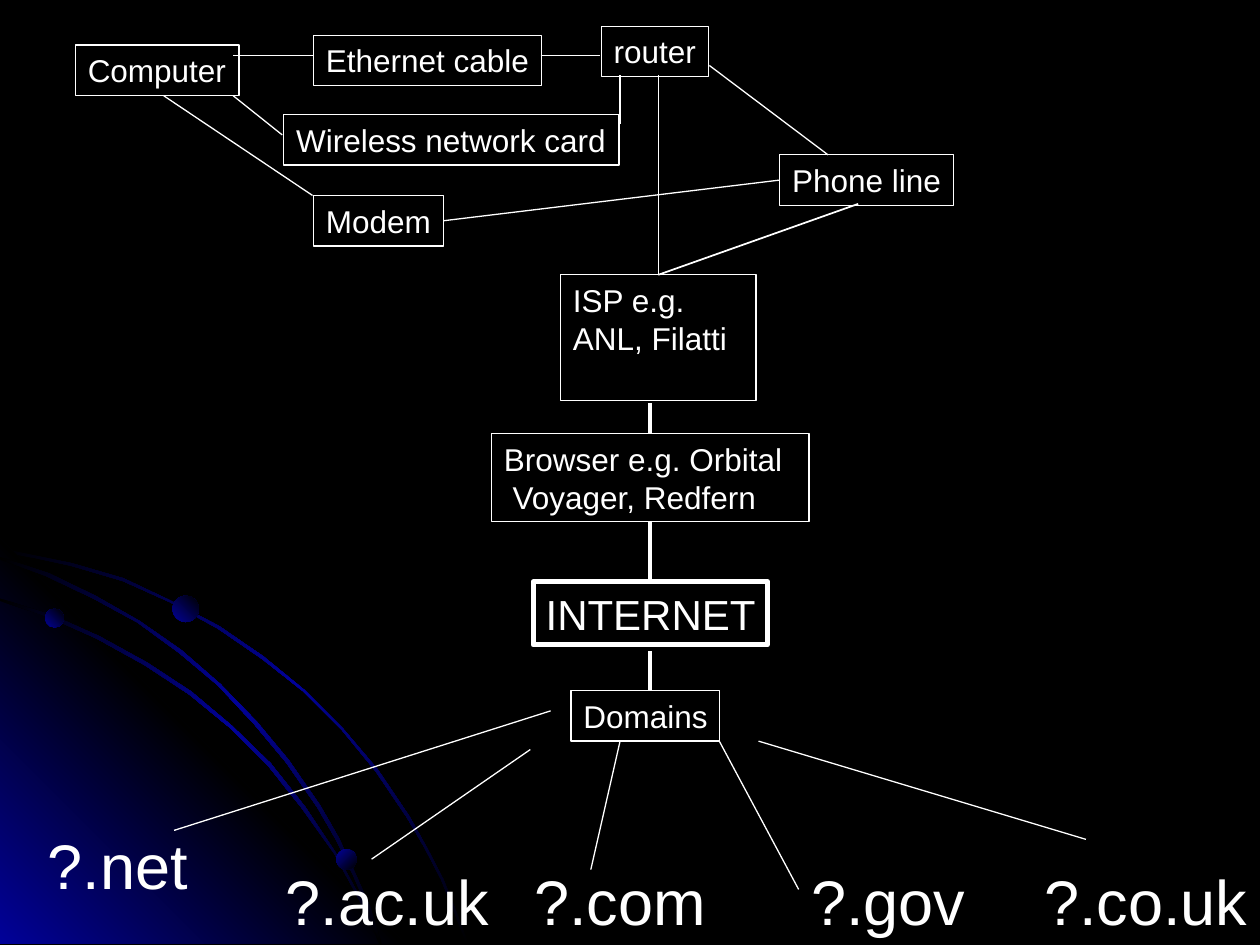
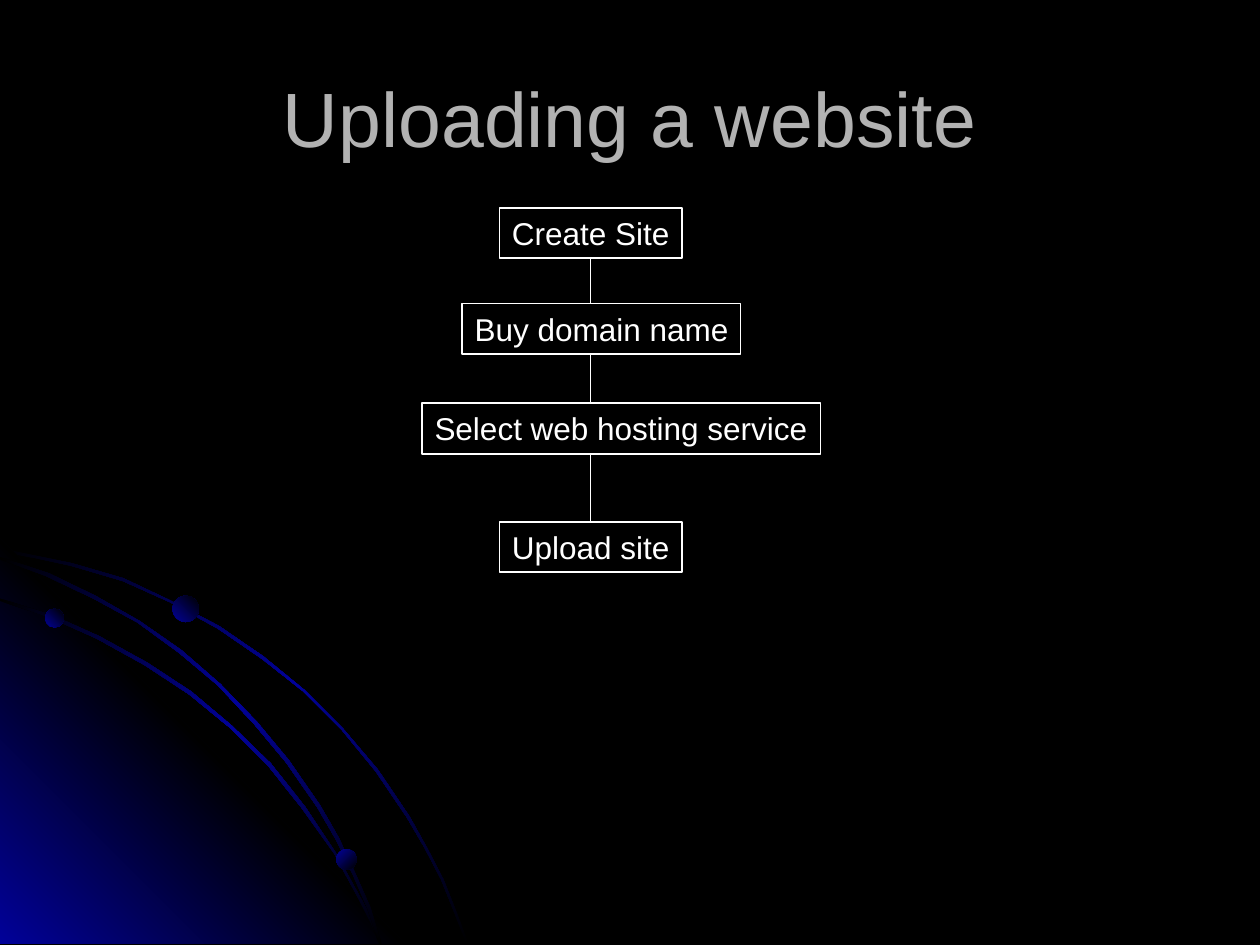
from copy import deepcopy

from pptx import Presentation
from pptx.dml.color import RGBColor
from pptx.enum.shapes import MSO_CONNECTOR, MSO_SHAPE
from pptx.enum.text import MSO_ANCHOR, PP_ALIGN
from pptx.oxml.ns import qn
from pptx.util import Cm, Pt
from lxml import etree

RECT = MSO_SHAPE.RECTANGLE
OVAL = MSO_SHAPE.OVAL
STRAIGHT = MSO_CONNECTOR.STRAIGHT
LEFT = PP_ALIGN.LEFT
CENTER = PP_ALIGN.CENTER
HIGH = MSO_ANCHOR.TOP
MIDDLE = MSO_ANCHOR.MIDDLE

BLACK = RGBColor(0x00, 0x00, 0x00)
WHITE = RGBColor(0xFF, 0xFF, 0xFF)
GREY = RGBColor(0xB2, 0xB2, 0xB2)
BLUE = RGBColor(0x01, 0x01, 0x99)

FONT = "Arial"
ROW = 1.02
TOP, SIDE, BASE, END = range(4)
UNIT = Cm(0.0254)

GLOW = [(322, 749), (0, 749), (0, 427)]
ARCS = [
    [(57, 447), (28, 441), (0, 435), (0, 438), (28, 443), (56, 449),
     (97, 461), (135, 478), (173, 499), (208, 523), (241, 549),
     (271, 579), (298, 612), (323, 649), (337, 673), (350, 698),
     (360, 723), (370, 749), (372, 749), (362, 723), (352, 698),
     (339, 673), (325, 648), (300, 611), (272, 578), (242, 548),
     (209, 521), (174, 497), (136, 477), (98, 459)],
    [(285, 714), (294, 732), (301, 749), (303, 749), (296, 730),
     (286, 712), (266, 676), (242, 640), (215, 606), (184, 576),
     (152, 549), (117, 526), (79, 505), (41, 488), (0, 475), (0, 477),
     (39, 490), (77, 507), (115, 528), (150, 551), (183, 578),
     (213, 608), (240, 642), (265, 677)],
    [(0, 442), (0, 444), (36, 457), (74, 475), (109, 494), (142, 518),
     (173, 544), (202, 575), (227, 605), (252, 641), (267, 667),
     (280, 694), (292, 722), (301, 749), (303, 749), (294, 720),
     (282, 693), (269, 665), (254, 639), (229, 603), (204, 573),
     (175, 543), (144, 516), (111, 493), (76, 473), (39, 455)],
]
DOTS = [(0.91, 12.27, 0.38, 315), (6.78, 17.12, 0.41, 45),
        (3.48, 12.01, 0.53, 315)]


def shade(shape, tints, angle):
    shape.shadow.inherit = False
    shape.line.fill.background()
    fill = shape.fill
    fill.gradient()
    fill.gradient_angle = 360 - angle
    stops = shape._element.spPr.find(".//" + qn("a:gsLst"))
    while len(stops) < len(tints):
        stops.append(deepcopy(stops[0]))
    for index, (stop, tint) in enumerate(zip(fill.gradient_stops, tints)):
        stop.color.rgb = tint
        stop.position = index / (len(tints) - 1)


def outline(slide, points, tints, angle):
    pen = slide.shapes.build_freeform(*points[0], scale=UNIT)
    pen.add_line_segments(points[1:], close=True)
    shade(pen.convert_to_shape(), tints, angle)


def new_slide(deck):
    slide = deck.slides.add_slide(deck.slide_layouts[6])
    slide.background.fill.solid()
    slide.background.fill.fore_color.rgb = BLACK
    rim = (BLACK, BLUE, BLACK)
    outline(slide, ARCS[0], rim, 45)
    outline(slide, GLOW, (BLUE, BLACK, BLUE), 315)
    for arc in ARCS[1:]:
        outline(slide, arc, rim, 45)
    for left, top, size, angle in DOTS:
        dot = slide.shapes.add_shape(OVAL, *map(Cm, (left, top, size, size)))
        shade(dot, (BLUE, BLACK), angle)
    return slide


def text(slide, words, left, top, width, height=ROW, size=18, color=WHITE,
         edge=None, align=LEFT, anchor=HIGH):
    area = [Cm(value) for value in (left, top, width, height)]
    if edge:
        shape = slide.shapes.add_shape(RECT, *area)
        shape.shadow.inherit = False
        shape.fill.background()
        shape.line.color.rgb = WHITE
        shape.line.width = Pt(edge)
    else:
        shape = slide.shapes.add_textbox(*area)
    frame = shape.text_frame
    frame.word_wrap = False
    frame.vertical_anchor = anchor
    frame.text = words
    for para in frame.paragraphs:
        para.alignment = align
        para.font.name = FONT
        para.font.size = Pt(size)
        para.font.color.rgb = color
    return shape


def line(slide, x1, y1, x2, y2, width=0.75, start=None, end=None):
    wire = slide.shapes.add_connector(STRAIGHT, *map(Cm, (x1, y1, x2, y2)))
    wire.line.color.rgb = WHITE
    wire.line.width = Pt(width)
    etree.SubElement(wire._element.spPr, qn("a:effectLst"))
    if start:
        wire.begin_connect(*start)
    if end:
        wire.end_connect(*end)


def network(deck):
    slide = new_slide(deck)

    def box(words, *area, edge=0.75, size=18):
        return text(slide, words, *area, edge=edge, size=size)

    box("Computer", 1.52, 0.91, 3.3)
    modem = box("Modem", 6.32, 3.94, 2.62)
    phone = box("Phone line", 15.72, 3.12, 3.51)
    isp = box("ISP e.g.\nANL, Filatti", 11.3, 5.54, 3.94, 2.54)
    browser = box("Browser e.g. Orbital\n Voyager, Redfern",
                  9.91, 8.74, 6.4, 1.78)
    hub = box("INTERNET", 10.75, 11.73, 4.72, 1.27, edge=3, size=24)
    box("Domains", 11.51, 13.92, 3)
    box("Ethernet cable", 6.32, 0.71, 4.6)
    box("router", 12.12, 0.53, 2.16)
    box("Wireless network card", 5.72, 2.31, 6.76)

    for ends in [
        (4.7, 1.12, 6.3, 1.12), (4.7, 1.93, 5.69, 2.72),
        (3.3, 1.93, 6.3, 3.94), (10.9, 1.12, 12.09, 1.12),
        (14.3, 1.32, 16.69, 3.12), (12.5, 2.51, 12.5, 1.52),
        (11.1, 14.33, 3.51, 16.74), (10.69, 15.11, 7.49, 17.32),
        (12.5, 14.94, 11.91, 17.53), (14.5, 14.94, 16.1, 17.93),
        (15.29, 14.94, 21.89, 16.92),
    ]:
        line(slide, *ends)
    line(slide, 8.94, 4.45, 15.72, 3.63, start=(modem, END),
         end=(phone, SIDE))
    line(slide, 17.3, 4.11, 13.27, 5.54, width=1, end=(isp, TOP))
    line(slide, 13.27, 1.52, 13.27, 5.54, end=(isp, TOP))
    line(slide, 13.11, 8.13, 13.11, 8.74, width=2.25, end=(browser, TOP))
    line(slide, 13.11, 10.52, 13.11, 11.73, width=2.25,
         start=(browser, BASE), end=(hub, TOP))
    line(slide, 13.11, 13.13, 13.11, 13.92, width=2.25)

    for name, left, top, width in [
        ("?.net", 0.71, 16.54, 3.33), ("?.ac.uk", 5.51, 17.27, 4.6),
        ("?.com", 10.52, 17.27, 3.96), ("?.gov", 16.1, 17.27, 3.61),
        ("?.co.uk", 20.8, 17.27, 4.6),
    ]:
        text(slide, name, left, top, width, 1.78, size=36)


def upload(deck):
    slide = new_slide(deck)
    text(slide, "Uploading a website", 1.27, 0.76, 22.86, 3.18, size=44,
         color=GREY, align=CENTER, anchor=MIDDLE)
    steps = [text(slide, *step, edge=1) for step in [
        ("Create Site", 10.07, 4.19, 3.68),
        ("Buy domain name", 9.32, 6.12, 5.61),
        ("Select web hosting service", 8.51, 8.13, 8.03),
        ("Upload site", 10.07, 10.52, 3.68),
    ]]
    mid = 11.91
    line(slide, mid, 5.21, mid, 6.12, start=(steps[0], BASE))
    line(slide, mid, 7.14, mid, 8.13)
    line(slide, mid, 9.15, mid, 10.52, end=(steps[-1], TOP))


def main():
    deck = Presentation()
    deck.slide_width = Cm(25.4)
    deck.slide_height = Cm(19.05)
    network(deck)
    upload(deck)
    deck.save("out.pptx")


if __name__ == "__main__":
    main()
